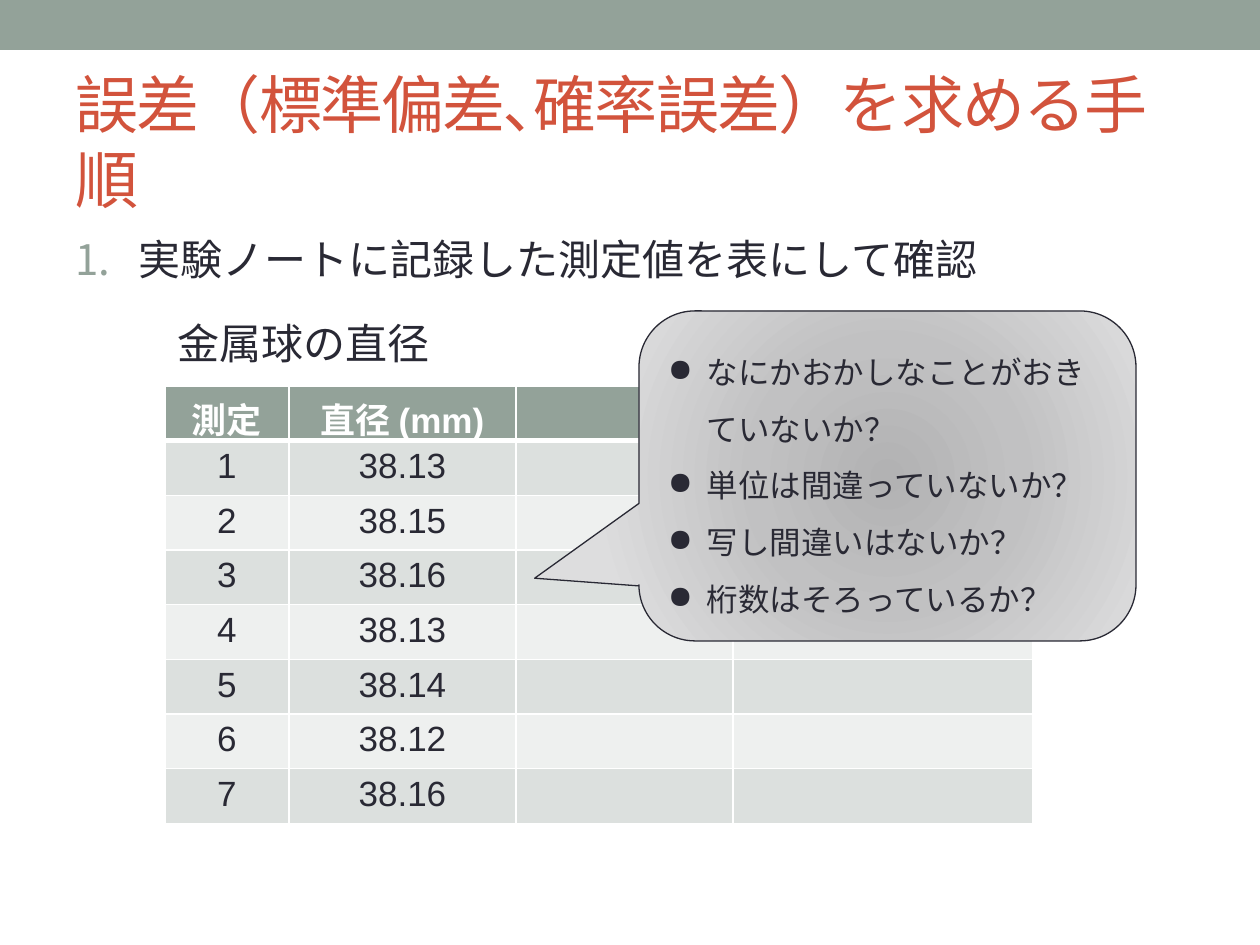
from dataclasses import dataclass

from lxml.etree import SubElement
from pptx import Presentation
from pptx.dml.color import RGBColor
from pptx.enum.shapes import MSO_SHAPE
from pptx.enum.text import MSO_ANCHOR, PP_ALIGN
from pptx.oxml import parse_xml
from pptx.oxml.ns import nsdecls, qn
from pptx.util import Pt

PIXELS_PER_INCH = 126
EMU_PER_INCH = 914400


def emu(pixels):
    return round(pixels * EMU_PER_INCH / PIXELS_PER_INCH)


@dataclass(frozen=True)
class Theme:
    font: str = "Arial"
    accent: str = "93A299"
    title: str = "D2533C"
    ink: str = "292934"
    white: str = "FFFFFF"
    bands: tuple = ("DCE0DE", "EEF0EF")
    gradient: tuple = ((0, "B2B2B3"), (45, "C1C1C2"), (100, "DDDDDE"))
    title_size: int = 36
    body_size: int = 24
    table_size: int = 20
    callout_size: int = 18


class SlideBuilder:
    def __init__(self, slide, theme):
        self.slide = slide
        self.theme = theme

    def styled_run(self, paragraph, text, size, color=None, bold=False, spacing=None):
        run = paragraph.add_run()
        run.text = text
        values = {"name": self.theme.font, "size": Pt(size), "bold": bold}
        for name, value in values.items():
            setattr(run.font, name, value)
        run.font.color.rgb = RGBColor.from_string(color or self.theme.ink)
        if spacing is not None:
            run._r.get_or_add_rPr().set("spc", str(spacing))

    def bullet(self, paragraph, indent, tag, attributes, color=None):
        properties = paragraph._p.get_or_add_pPr()
        properties.set("marL", str(emu(indent)))
        properties.set("indent", str(-emu(indent)))
        if color:
            bullet_color = SubElement(properties, qn("a:buClr"))
            SubElement(bullet_color, qn("a:srgbClr"), val=color)
        SubElement(properties, qn(tag), **attributes)

    def band(self, box, color):
        shape = self.slide.shapes.add_shape(MSO_SHAPE.RECTANGLE, *map(emu, box))
        shape.shadow.inherit = False
        shape.fill.solid()
        shape.fill.fore_color.rgb = RGBColor.from_string(color)
        shape.line.fill.background()

    def text(self, box, text, size, wrap=True, anchor=MSO_ANCHOR.TOP, **style):
        frame = self.slide.shapes.add_textbox(*map(emu, box)).text_frame
        frame.word_wrap = wrap
        frame.vertical_anchor = anchor
        paragraph = frame.paragraphs[0]
        self.styled_run(paragraph, text, size, **style)
        return paragraph

    def numbered(self, box, text, indent, line_spacing):
        paragraph = self.text(box, text, self.theme.body_size)
        self.bullet(paragraph, indent, "a:buAutoNum", {"type": "arabicPeriod"}, self.theme.accent)
        paragraph.line_spacing = line_spacing

    def border(self, cell, bottom):
        properties = cell._tc.get_or_add_tcPr()
        for position, (side, points) in enumerate((("L", 1), ("R", 1), ("T", 1), ("B", bottom))):
            properties.insert(position, parse_xml(
                f'<a:ln{side} {nsdecls("a")} w="{Pt(points)}"><a:solidFill>'
                f'<a:srgbClr val="{self.theme.white}"/></a:solidFill></a:ln{side}>'))

    def table(self, box, rows, widths):
        table = self.slide.shapes.add_table(len(rows), len(widths), *map(emu, box)).table
        for column, width in zip(table.columns, widths):
            column.width = emu(width)
        for row_index, values in enumerate(rows):
            header = row_index == 0
            fill = self.theme.accent if header else self.theme.bands[(row_index - 1) % 2]
            for column_index in range(len(widths)):
                cell = table.cell(row_index, column_index)
                cell.fill.solid()
                cell.fill.fore_color.rgb = RGBColor.from_string(fill)
                self.border(cell, 3 if header else 1)
                if column_index < len(values):
                    paragraph = cell.text_frame.paragraphs[0]
                    paragraph.alignment = PP_ALIGN.CENTER
                    self.styled_run(paragraph, values[column_index], self.theme.table_size,
                                    self.theme.white if header else self.theme.ink, bold=header)

    def callout(self, box, adjustments, lines, indent):
        shape = self.slide.shapes.add_shape(
            MSO_SHAPE.ROUNDED_RECTANGULAR_CALLOUT, *map(emu, box))
        shape.shadow.inherit = False
        for index, value in enumerate(adjustments):
            shape.adjustments[index] = value
        shape.line.color.rgb = RGBColor.from_string(self.theme.ink)
        shape.line.width = Pt(0.75)
        stops = "".join(f'<a:gs pos="{position * 1000}"><a:srgbClr val="{color}"/></a:gs>'
                        for position, color in self.theme.gradient)
        geometry = shape._element.spPr.find(qn("a:prstGeom"))
        geometry.addnext(parse_xml(
            f'<a:gradFill {nsdecls("a")} rotWithShape="1"><a:gsLst>{stops}</a:gsLst>'
            '<a:path path="circle"><a:fillToRect l="50000" t="50000" r="50000" b="50000"/>'
            '</a:path></a:gradFill>'))
        frame = shape.text_frame
        frame.word_wrap = True
        frame.vertical_anchor = MSO_ANCHOR.MIDDLE
        for index, line in enumerate(lines):
            paragraph = frame.add_paragraph() if index else frame.paragraphs[0]
            self.bullet(paragraph, indent, "a:buChar", {"char": "●"})
            for name, value in {"alignment": PP_ALIGN.LEFT, "line_spacing": 1.5}.items():
                setattr(paragraph, name, value)
            self.styled_run(paragraph, line, self.theme.callout_size)


def main():
    presentation = Presentation()
    presentation.slide_width = emu(1260)
    presentation.slide_height = emu(945)
    theme = Theme()
    builder = SlideBuilder(presentation.slides.add_slide(presentation.slide_layouts[6]), theme)

    builder.band((0, 0, 1260, 50), theme.accent)
    builder.text((63, 73, 1134, 136), "誤差（標準偏差､確率誤差）を求める手順", theme.title_size,
                 anchor=MSO_ANCHOR.MIDDLE, color=theme.title, spacing=-100)
    builder.numbered((63, 220, 1134, 672), "実験ノートに記録した測定値を表にして確認", 63, 1.14)
    builder.text((165, 311, 280, 63), "金属球の直径", theme.body_size, wrap=False)

    diameters = ("38.13", "38.15", "38.16", "38.13", "38.14", "38.12", "38.16")
    measurements = [(str(number), value) for number, value in enumerate(diameters, 1)]
    builder.table((165, 386, 868, 437), [("測定", "直径 (mm)"), *measurements],
                  (124, 227, 217, 300))
    builder.callout((639, 311, 497, 330), (-0.71, 0.31, 0.17), (
        "なにかおかしなことがおきていないか？",
        "単位は間違っていないか？",
        "写し間違いはないか？",
        "桁数はそろっているか？",
    ), 39)
    presentation.save("out.pptx")


if __name__ == "__main__":
    main()
